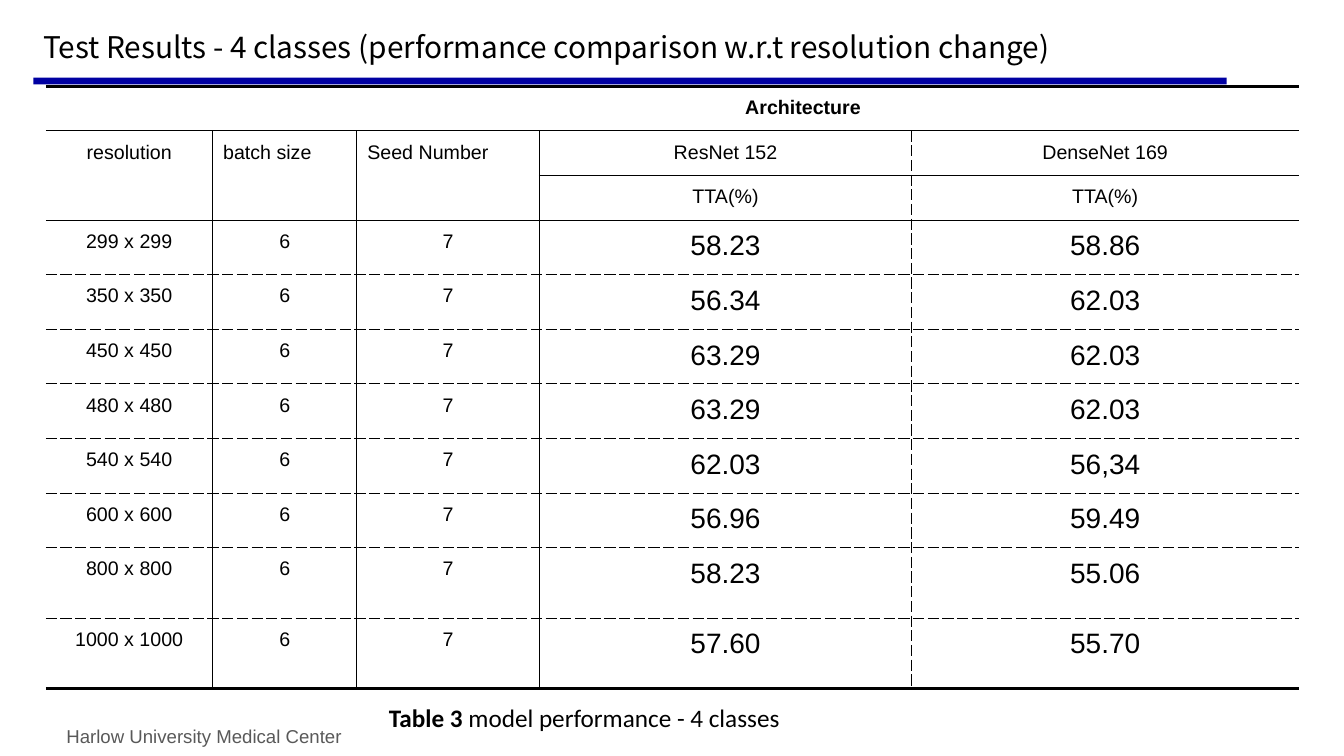
from lxml import etree
from pptx import Presentation
from pptx.dml.color import RGBColor
from pptx.enum.shapes import MSO_SHAPE
from pptx.enum.text import MSO_ANCHOR, PP_ALIGN
from pptx.oxml.ns import qn
from pptx.util import Pt

COLORS = {"black": "000000", "grey": "595959", "navy": "0000A2"}
TITLE = "Test Results - 4 classes (performance comparison w.r.t resolution change)"
CAPTION = ("Table 3", " model performance - 4 classes")
FOOTER = "Harlow University Medical Center"

HEADER = [
    ["", "", "", "Architecture"],
    ["resolution", "batch size", "Seed Number", "ResNet 152", "DenseNet 169"],
    ["", "", "", "TTA(%)", "TTA(%)"],
]
RESULTS = [
    ("299 x 299", "58.23", "58.86"),
    ("350 x 350", "56.34", "62.03"),
    ("450 x 450", "63.29", "62.03"),
    ("480 x 480", "63.29", "62.03"),
    ("540 x 540", "62.03", "56,34"),
    ("600 x 600", "56.96", "59.49"),
    ("800 x 800", "58.23", "55.06"),
    ("1000 x 1000", "57.60", "55.70"),
]
BATCH_SIZE, SEED = "6", "7"
ROWS = HEADER + [[res, BATCH_SIZE, SEED, *scores] for res, *scores in RESULTS]

COL_WIDTHS = [119.2, 103, 130.4, 266, 110.8, 165.6]
ROW_HEIGHTS = [31.1] * 3 + [38.4] * 6 + [50.3] * 2
TABLE_LEFT, TABLE_TOP = 32.7, 61.7
CELL_MARGIN = 7.5
SOLID, DASH, TOP_RULE, BOTTOM_RULE = (0.75, "solid"), (0.75, "dash"), (3, "solid"), (2.25, "solid")


def color(name):
    return RGBColor.from_string(COLORS[name])


def style(r, size, font, tint="black", bold=False):
    r.font.size, r.font.name, r.font.bold = Pt(size), font, bold
    r.font.color.rgb = color(tint)
    for tag in ("a:ea", "a:cs"):
        etree.SubElement(r.font._element, qn(tag), typeface=font)


def add_text(slide, box, parts, size, font, tint="black", anchor=MSO_ANCHOR.TOP):
    """Add a one-paragraph box; parts are (text, bold) pairs."""
    tf = slide.shapes.add_textbox(*map(Pt, box)).text_frame
    tf.word_wrap, tf.vertical_anchor = True, anchor
    p = tf.paragraphs[0]
    for text, bold in parts:
        r = p.add_run()
        r.text = text
        style(r, size, font, tint, bold)
    return p


def horizontal_rule(edge, col):
    """Line on the row boundary numbered from the top of the table."""
    if edge == 2 and col < 3:
        return None
    if edge in (0, len(ROWS)):
        return TOP_RULE if edge == 0 else BOTTOM_RULE
    return SOLID if edge <= 3 else DASH


def vertical_rule(edge, row):
    """Line on the column boundary numbered from the left of the table."""
    if row == 0 or edge not in (1, 2, 3, 4):
        return None
    return DASH if edge == 4 else SOLID


def set_borders(cell, rules):
    tc_pr = cell._tc.get_or_add_tcPr()
    for i, (side, rule) in enumerate(rules):
        ln = etree.Element(qn(f"a:ln{side}"))
        if rule:
            width, dash = rule
            ln.set("w", str(Pt(width)))
            fill = etree.SubElement(ln, qn("a:solidFill"))
            etree.SubElement(fill, qn("a:srgbClr"), val=COLORS["black"])
            etree.SubElement(ln, qn("a:prstDash"), val=dash)
        else:
            etree.SubElement(ln, qn("a:noFill"))
        tc_pr.insert(i, ln)


def fill_cell(cell, text, row, col):
    cell.margin_left = cell.margin_right = Pt(CELL_MARGIN)
    cell.margin_top = cell.margin_bottom = Pt(CELL_MARGIN)
    p = cell.text_frame.paragraphs[0]
    p.text = text
    left_aligned = row == 1 and col in (1, 2)
    p.alignment = PP_ALIGN.LEFT if left_aligned else PP_ALIGN.CENTER
    is_score = row >= len(HEADER) and col >= 3
    style(p.runs[0], 20 if is_score else 14, "Arial", bold=row == 0)


def add_results_table(slide):
    box = TABLE_LEFT, TABLE_TOP, sum(COL_WIDTHS), sum(ROW_HEIGHTS)
    table = slide.shapes.add_table(len(ROWS), len(COL_WIDTHS), *map(Pt, box)).table
    table.first_row = table.horz_banding = False
    for column, width in zip(table.columns, COL_WIDTHS):
        column.width = Pt(width)
    for row, height in zip(table.rows, ROW_HEIGHTS):
        row.height = Pt(height)
    table.cell(0, 3).merge(table.cell(0, 4))
    for row in range(1, len(ROWS)):
        table.cell(row, 4).merge(table.cell(row, 5))
    for col in range(3):
        table.cell(1, col).merge(table.cell(2, col))
    for row, texts in enumerate(ROWS):
        for col in range(len(COL_WIDTHS)):
            cell = table.cell(row, col)
            cell.fill.background()
            bottom = row + (cell.span_height if cell.is_merge_origin else 1)
            right = col + (cell.span_width if cell.is_merge_origin else 1)
            set_borders(cell, [
                ("L", vertical_rule(col, row) if col != 5 else None),
                ("R", vertical_rule(right, row)),
                ("T", horizontal_rule(row, col)),
                ("B", horizontal_rule(bottom, col)),
            ])
            if col < len(texts) and texts[col]:
                fill_cell(cell, texts[col], row, col)


def main():
    prs = Presentation()
    prs.slide_width, prs.slide_height = Pt(960), Pt(540)
    slide = prs.slides.add_slide(prs.slide_layouts[6])

    add_text(slide, (40.3, 514, 247, 23.8), [(FOOTER, False)], 13.3, "Arial", "grey")
    bar = slide.shapes.add_shape(MSO_SHAPE.RECTANGLE, *map(Pt, (23.8, 55.4, 852.5, 5)))
    bar.shadow.inherit = False
    bar.fill.solid()
    bar.fill.fore_color.rgb = color("navy")
    bar.line.fill.background()

    label, description = CAPTION
    add_text(slide, (270.7, 498.2, 512, 23.8), [(label, True), (description, False)], 18, "Calibri")
    add_results_table(slide)
    title = add_text(slide, (23.8, 15.1, 912.2, 39.6), [(TITLE, False)], 21.3,
                     "Noto Sans CJK KR", anchor=MSO_ANCHOR.MIDDLE)
    title.line_spacing = 0.9
    prs.save("out.pptx")


if __name__ == "__main__":
    main()
